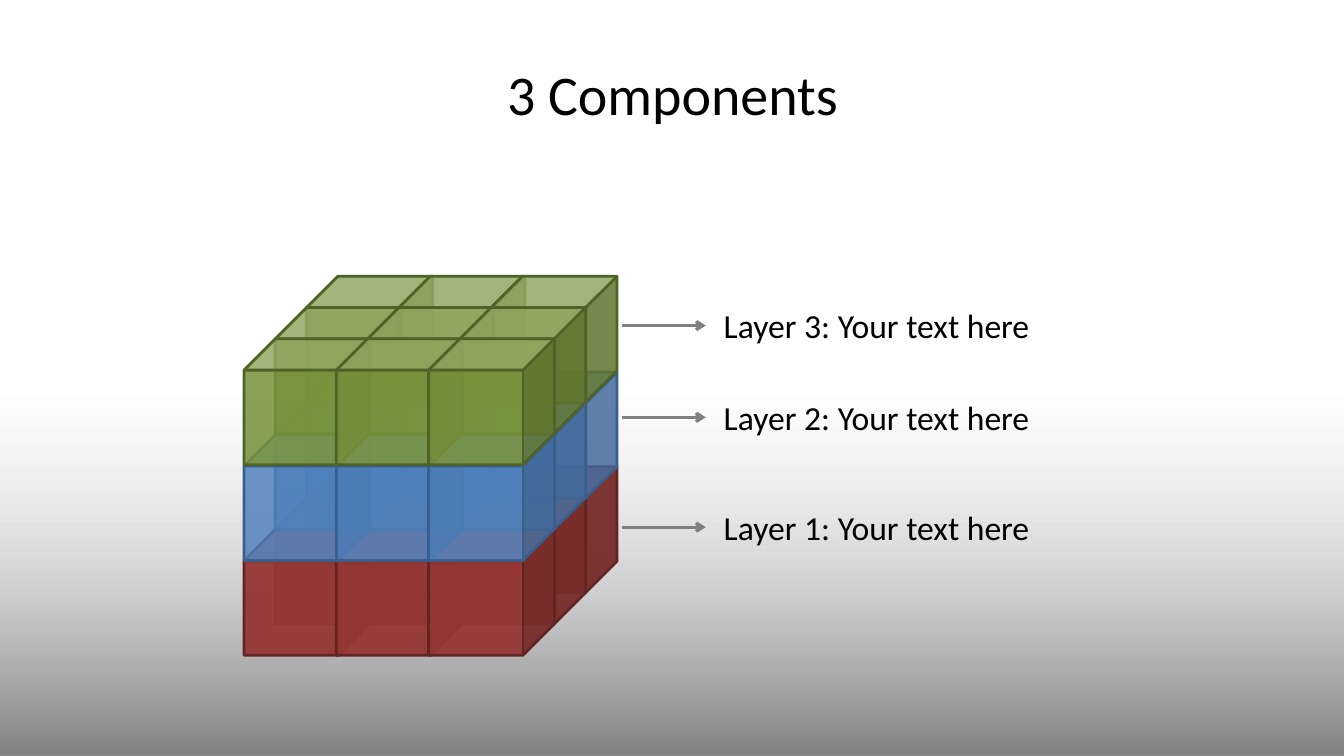
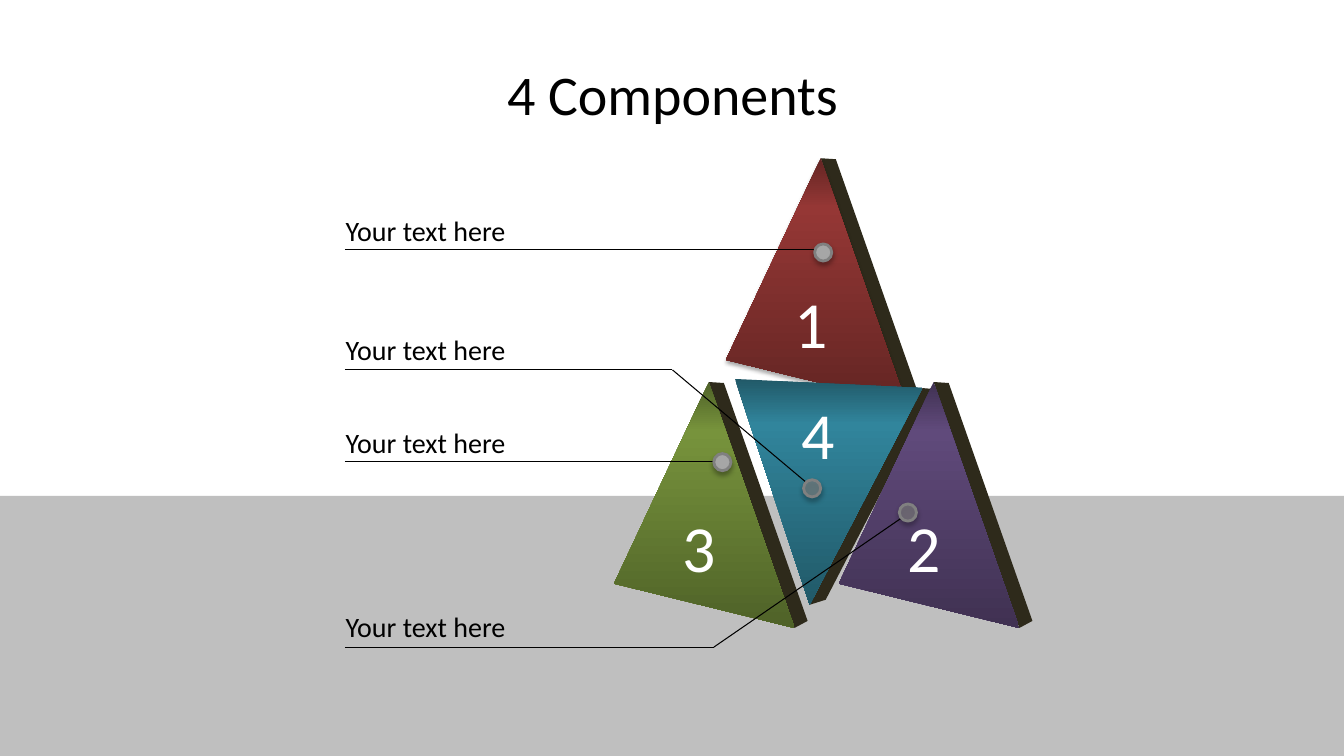
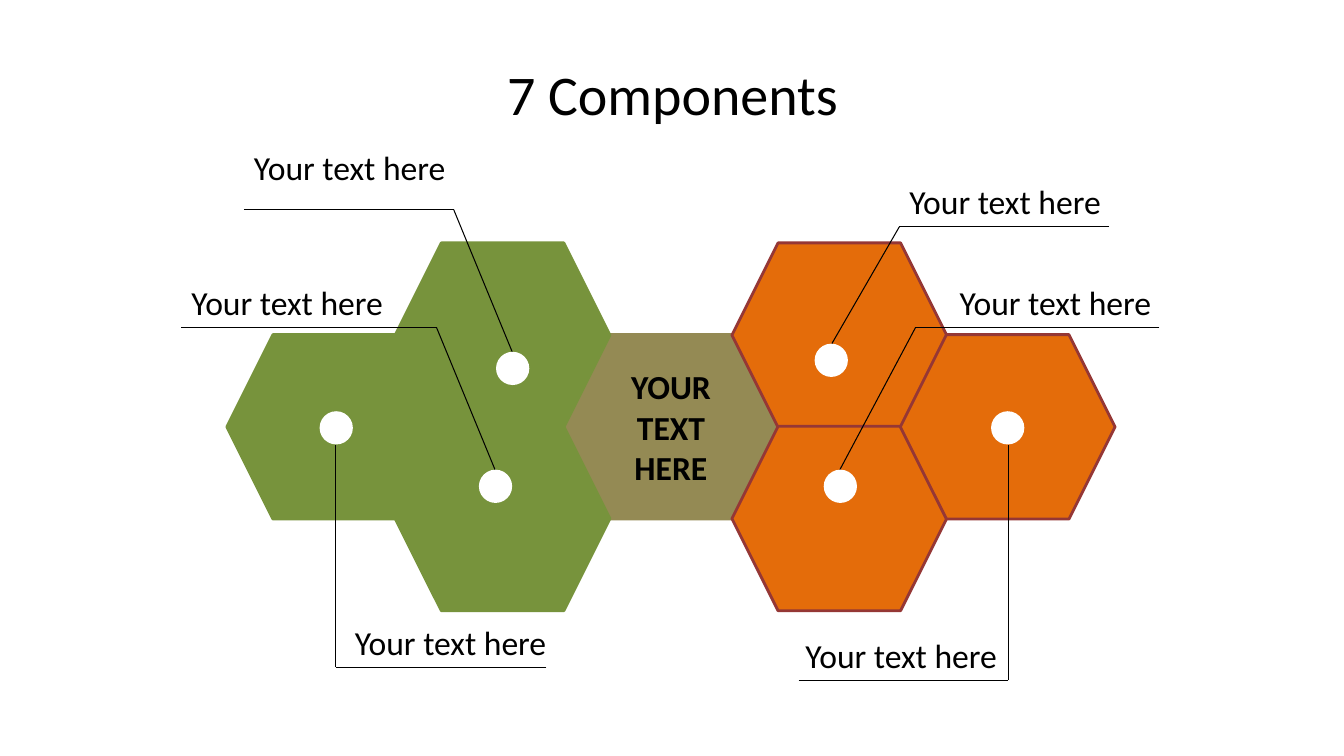
from dataclasses import dataclass
from itertools import pairwise, product

from lxml import etree
from pptx import Presentation
from pptx import util as u
from pptx.dml import color
from pptx.enum import shapes, text
from pptx.oxml import ns

FONT = "Calibri"
COLOURS = {
    "black": "000000", "white": "FFFFFF", "grey": "808080",
    "silver": "A6A6A6", "floor": "BFBFBF", "mist": "D9D9D9",
    "red": "953735", "dark red": "632523",
    "blue": "4F81BD", "dark blue": "3A5F8C",
    "green": "77933C", "dark green": "4F6228",
    "teal": "31859C", "dark teal": "215968",
    "purple": "604A7B", "dark purple": "403152",
    "orange": "E46C0A", "tan": "948A54", "edge": "2E2A1B",
}
Point = tuple[float, float]


@dataclass
class Layer:
    label: str
    colour: str
    opacity: int
    cube_top: float
    arrow_y: float
    label_top: float


@dataclass
class Outline:
    front: list[Point]
    side: list[Point]
    insets: tuple[float, float, float, float]


@dataclass
class Prism:
    digit: str
    colour: str
    origin: Point
    outline: Outline


@dataclass
class Callout:
    label_at: Point
    line: list[Point]
    dot_at: Point
    faded: bool = False


@dataclass
class CalloutStyle:
    label_size: int
    label_width: float
    dot_size: float
    raised: bool


@dataclass
class Cell:
    column: int
    row: int
    fill: str
    line: str


LAYERS = [
    Layer("Layer 1: Your text here", "red", 95, 4.63, 5.23, 4.98),
    Layer("Layer 2: Your text here", "blue", 83, 3.69, 4.14, 3.89),
    Layer("Layer 3: Your text here", "green", 86, 2.74, 3.23, 2.98),
]
UPRIGHT = Outline([(0, 0), (-0.94, 2), (0.85, 2.44)],
                  [(0, 0), (0.15, 0.01), (0.98, 2.37), (0.85, 2.44)],
                  (0, 0.82, 0.1, 0))
INVERTED = Outline([(0, 0), (1.86, 0.09), (0.74, 2.24)],
                   [(1.86, 0.09), (1.98, 0.1), (0.9, 2.19), (0.74, 2.24)],
                   (0, 0, 0.21, 1.16))
PRISMS = [
    Prism("1", "red", (8.14, 1.57), UPRIGHT),
    Prism("3", "green", (7.03, 3.79), UPRIGHT),
    Prism("4", "teal", (7.29, 3.76), INVERTED),
    Prism("2", "purple", (9.26, 3.79), UPRIGHT),
]
PYRAMID_STYLE = CalloutStyle(20, 1.8, 0.17, True)
PYRAMID_CALLOUTS = [
    Callout((3.33, 2.07), [(3.42, 2.48), (8.17, 2.48)], (8.08, 2.42)),
    Callout((3.33, 4.17), [(3.42, 4.58), (7.17, 4.58)], (7.08, 4.5)),
    Callout((3.33, 6), [(3.42, 6.42), (7.08, 6.42), (8.94, 5.14)], (8.92, 5), True),
    Callout((3.33, 3.25), [(3.42, 3.67), (6.67, 3.67), (7.99, 4.78)], (7.97, 4.76), True),
]
CELLS = [
    Cell(2, 1, "tan", "tan"),
    Cell(3, 0, "orange", "red"),
    Cell(3, 2, "orange", "red"),
    Cell(4, 1, "orange", "red"),
    Cell(1, 0, "green", "green"),
    Cell(1, 2, "green", "green"),
    Cell(0, 1, "green", "green"),
]
HEXAGON_STYLE = CalloutStyle(24, 2.12, 0.33, False)
HEXAGON_CALLOUTS = [
    Callout((2.42, 1.41), [(2.42, 2.08), (4.5, 2.08), (5.08, 3.49)], (4.92, 3.49)),
    Callout((1.8, 2.75), [(1.8, 3.25), (4.33, 3.25), (4.91, 4.66)], (4.75, 4.66)),
    Callout((3.42, 6.12), [(5.42, 6.62), (3.33, 6.62), (3.33, 4.41)], (3.17, 4.08)),
    Callout((7.89, 6.25), [(7.92, 6.75), (10, 6.75), (10, 4.41)], (9.83, 4.08)),
    Callout((8.92, 1.75), [(11, 2.25), (8.92, 2.25), (8.25, 3.41)], (8.08, 3.41)),
    Callout((9.42, 2.75), [(11.5, 3.25), (9.08, 3.25), (8.33, 4.66)], (8.17, 4.66)),
]


def rgb(name: str) -> color.RGBColor:
    return color.RGBColor.from_string(COLOURS[name])


def add_alpha(element, percent: int) -> None:
    etree.SubElement(element, ns.qn("a:alpha"), val=str(percent * 1000))


def paint(shape, fill: str, line: str | None = None, opacity: int = 100) -> None:
    shape.shadow.inherit = False
    shape.fill.solid()
    shape.fill.fore_color.rgb = rgb(fill)
    if opacity < 100:
        add_alpha(shape._element.spPr.find(ns.qn("a:solidFill"))[0], opacity)
    if line:
        shape.line.color.rgb = rgb(line)
        shape.line.width = u.Pt(2)
    else:
        shape.line.fill.background()


def paint_gradient(shape, stops: list[tuple[int, str, int]]) -> None:
    shape.shadow.inherit = False
    shape.line.fill.background()
    shape.fill.gradient()
    shape.fill.gradient_angle = 270
    stop_list = shape._element.spPr.find(ns.qn("a:gradFill")).find(ns.qn("a:gsLst"))
    for old in list(stop_list):
        stop_list.remove(old)
    for position, name, opacity in stops:
        stop = etree.SubElement(stop_list, ns.qn("a:gs"), pos=str(position * 1000))
        value = etree.SubElement(stop, ns.qn("a:srgbClr"), val=COLOURS[name])
        if opacity < 100:
            add_alpha(value, opacity)


def cast_shadow(shape, opacity: int, blur: float, distance: float) -> None:
    effects = shape._element.spPr.find(ns.qn("a:effectLst"))
    shadow = etree.SubElement(effects, ns.qn("a:outerShdw"), blurRad=str(u.Pt(blur)),
                              dist=str(u.Pt(distance)), dir="5400000", rotWithShape="0")
    add_alpha(etree.SubElement(shadow, ns.qn("a:srgbClr"), val=COLOURS["black"]), opacity)


def write(frame, words: str, size: int, colour: str = "black",
          align=text.PP_ALIGN.LEFT, bold: bool = False) -> None:
    para = frame.paragraphs[0]
    para.alignment = align
    span = para.add_run()
    span.text = words
    span.font.name = FONT
    span.font.size = u.Pt(size)
    span.font.bold = bold
    span.font.color.rgb = rgb(colour)


def add_preset(parent, kind, left: float, top: float, width: float, height: float):
    return parent.shapes.add_shape(kind, u.Inches(left), u.Inches(top),
                                   u.Inches(width), u.Inches(height))


def add_label(parent, words: str, at: Point, width: float, size: int) -> None:
    box = parent.shapes.add_textbox(u.Inches(at[0]), u.Inches(at[1]),
                                    u.Inches(width), u.Inches(size / 60 + 0.1))
    box.text_frame.word_wrap = False
    box.text_frame.auto_size = text.MSO_AUTO_SIZE.SHAPE_TO_FIT_TEXT
    write(box.text_frame, words, size)


def add_line(parent, start: Point, end: Point, colour: str, width: float,
             arrow: bool = False) -> None:
    line = parent.shapes.add_connector(shapes.MSO_CONNECTOR.STRAIGHT,
                                       *(u.Inches(value) for value in (*start, *end)))
    line.line.color.rgb = rgb(colour)
    line.line.width = u.Pt(width)
    if arrow:
        etree.SubElement(line.line._get_or_add_ln(), ns.qn("a:tailEnd"), type="arrow")
    etree.SubElement(line._element.spPr, ns.qn("a:effectLst"))


def add_polygon(parent, origin: Point, points: list[Point]):
    corners = [(u.Inches(origin[0] + x), u.Inches(origin[1] + y)) for x, y in points]
    builder = parent.shapes.build_freeform(*corners[0])
    builder.add_line_segments(corners[1:], close=True)
    return builder.convert_to_shape()


def add_callout(page, callout: Callout, style: CalloutStyle) -> None:
    group = page.shapes.add_group_shape()
    for start, end in pairwise(callout.line):
        add_line(group, start, end, "black", 0.75)
    dot = add_preset(group, shapes.MSO_SHAPE.OVAL, *callout.dot_at,
                     style.dot_size, style.dot_size)
    if style.raised:
        fill, opacity = ("grey", 65) if callout.faded else ("silver", 100)
        paint(dot, fill, "grey", opacity)
        cast_shadow(dot, 32, 3.5, 2.2)
    else:
        paint(dot, "white")
    add_label(group, "Your text here", callout.label_at, style.label_width, style.label_size)


def add_page(deck, title: str):
    page = deck.slides.add_slide(deck.slide_layouts[5])
    box = page.shapes.title
    box.left, box.top = u.Inches(0.67), u.Inches(0.3)
    box.width, box.height = u.Inches(12), u.Inches(1.25)
    box.text_frame.vertical_anchor = text.MSO_ANCHOR.MIDDLE
    write(box.text_frame, title, 40, align=text.PP_ALIGN.CENTER)
    return page


def add_band(page, top: float):
    return add_preset(page, shapes.MSO_SHAPE.RECTANGLE, 0, top, 13.33, 7.5 - top)


def add_cube_page(deck) -> None:
    page = add_page(deck, "3 Components")
    paint_gradient(add_band(page, 3.95),
                   [(0, "mist", 4), (46, "floor", 60), (100, "grey", 100)])
    for layer in LAYERS:
        group = page.shapes.add_group_shape()
        for depth, column in product(range(3), repeat=2):
            cube = add_preset(group, shapes.MSO_SHAPE.CUBE,
                              3.04 - 0.31 * depth + 0.915 * column,
                              layer.cube_top + 0.31 * depth, 1.25, 1.25)
            paint(cube, layer.colour, f"dark {layer.colour}", layer.opacity)
    for layer in LAYERS:
        add_line(page, (6.17, layer.arrow_y), (7, layer.arrow_y), "grey", 2.25, arrow=True)
        add_label(page, layer.label, (7.08, layer.label_top), 3.26, 24)


def add_prism(group, prism: Prism) -> None:
    outline = prism.outline
    paint(add_polygon(group, prism.origin, outline.side), "edge")
    front = add_polygon(group, prism.origin, outline.front)
    dark = f"dark {prism.colour}"
    paint_gradient(front, [(0, dark, 100), (20, prism.colour, 100), (100, dark, 100)])
    if prism.digit == "1":
        cast_shadow(front, 35, 3.1, 1.8)
    frame = front.text_frame
    frame.margin_left, frame.margin_top, frame.margin_right, frame.margin_bottom = (
        u.Inches(inset) for inset in outline.insets)
    frame.vertical_anchor = text.MSO_ANCHOR.MIDDLE
    write(frame, prism.digit, 47, "white", text.PP_ALIGN.CENTER)


def add_pyramid_page(deck) -> None:
    page = add_page(deck, "4 Components")
    paint(add_band(page, 4.92), "floor")
    group = page.shapes.add_group_shape()
    for prism in PRISMS:
        add_prism(group, prism)
    for callout in PYRAMID_CALLOUTS:
        add_callout(page, callout, PYRAMID_STYLE)


def add_hexagon_page(deck) -> None:
    page = add_page(deck, "7 Components")
    group = page.shapes.add_group_shape()
    for cell in CELLS:
        hexagon = add_preset(group, shapes.MSO_SHAPE.HEXAGON, 2.25 + 1.67 * cell.column,
                             2.41 + 0.91 * cell.row, 2.13, 1.83)
        paint(hexagon, cell.fill, cell.line)
        if cell.fill == "tan":
            hexagon.text_frame.word_wrap = True
            hexagon.text_frame.vertical_anchor = text.MSO_ANCHOR.MIDDLE
            write(hexagon.text_frame, "YOUR TEXT HERE", 24,
                  align=text.PP_ALIGN.CENTER, bold=True)
    for callout in HEXAGON_CALLOUTS:
        add_callout(page, callout, HEXAGON_STYLE)


def main() -> None:
    deck = Presentation()
    deck.slide_width, deck.slide_height = u.Inches(13.33), u.Inches(7.5)
    add_cube_page(deck)
    add_pyramid_page(deck)
    add_hexagon_page(deck)
    deck.save("out.pptx")


if __name__ == "__main__":
    main()
